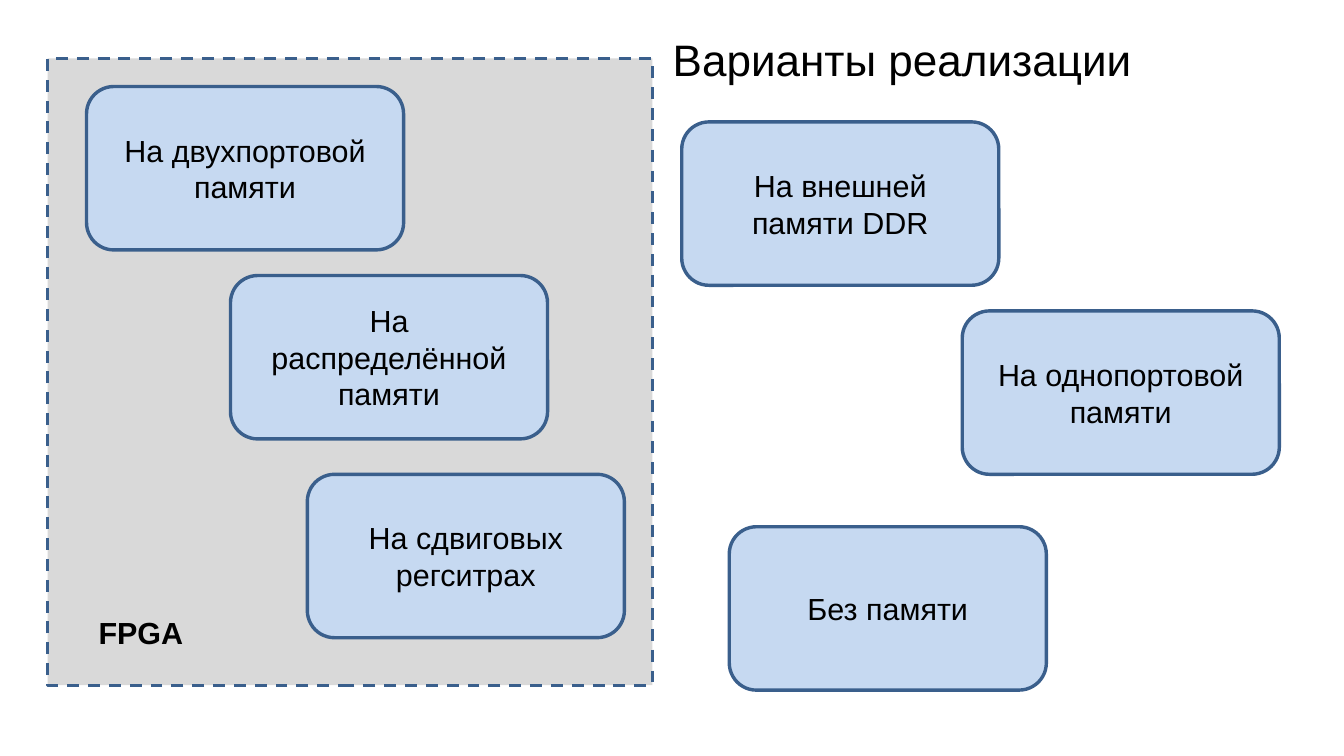
from pptx import Presentation
from pptx import util as u
from pptx.dml.color import RGBColor
from pptx.enum import dml, shapes, text

COLORS = {"area": "D9D9D9", "card": "C6D9F1", "edge": "3A5F8C", "ink": "000000"}
CARD_W, CARD_H = 2.6, 1.34
CARDS = [
    (0.71, 0.71, "На двухпортовой памяти"),
    (1.89, 2.26, "На распределённой памяти"),
    (2.52, 3.89, "На сдвиговых регситрах"),
    (5.59, 1, "На внешней памяти DDR"),
    (7.89, 2.55, "На однопортовой\nпамяти"),
    (5.98, 4.32, "Без памяти"),
]


def add_box(kind, left, top, width, height, fill, weight):
    box = slide.shapes.add_shape(
        kind, u.Inches(left), u.Inches(top), u.Inches(width), u.Inches(height))
    box.shadow.inherit = False
    box.fill.solid()
    box.fill.fore_color.rgb = RGBColor.from_string(COLORS[fill])
    box.line.color.rgb = RGBColor.from_string(COLORS["edge"])
    box.line.width = u.Pt(weight)
    return box


def write(shape, words, size, align, bold=False):
    frame = shape.text_frame
    frame.text = words
    frame.word_wrap = True
    for para in frame.paragraphs:
        para.alignment = align
        for run in para.runs:
            run.font.name = "Arial"
            run.font.size = u.Pt(size)
            run.font.bold = bold
            run.font.color.rgb = RGBColor.from_string(COLORS["ink"])
    return frame


deck = Presentation()
deck.slide_width, deck.slide_height = u.Inches(11.02), u.Inches(6.2)
slide = deck.slides.add_slide(deck.slide_layouts[6])

area = add_box(shapes.MSO_SHAPE.RECTANGLE, 0.39, 0.48, 4.96, 5.14, "area", 1.75)
area.line.dash_style = dml.MSO_LINE.DASH

title = slide.shapes.add_textbox(
    u.Inches(4.33), u.Inches(0.25), u.Inches(6.14), u.Inches(0.46))
frame = write(title, "Варианты реализации", 26, text.PP_ALIGN.CENTER)
frame.vertical_anchor = text.MSO_ANCHOR.MIDDLE
frame.margin_left = frame.margin_right = frame.margin_top = frame.margin_bottom = 0

for left, top, words in CARDS:
    card = add_box(
        shapes.MSO_SHAPE.ROUNDED_RECTANGLE, left, top, CARD_W, CARD_H, "card", 2)
    frame = write(card, words, 18, text.PP_ALIGN.CENTER)
    frame.vertical_anchor = text.MSO_ANCHOR.MIDDLE

label = slide.shapes.add_textbox(
    u.Inches(0.71), u.Inches(4.99), u.Inches(1.3), u.Inches(0.4))
frame = write(label, "FPGA", 18, text.PP_ALIGN.LEFT, True)
frame.auto_size = text.MSO_AUTO_SIZE.SHAPE_TO_FIT_TEXT

deck.save("out.pptx")
